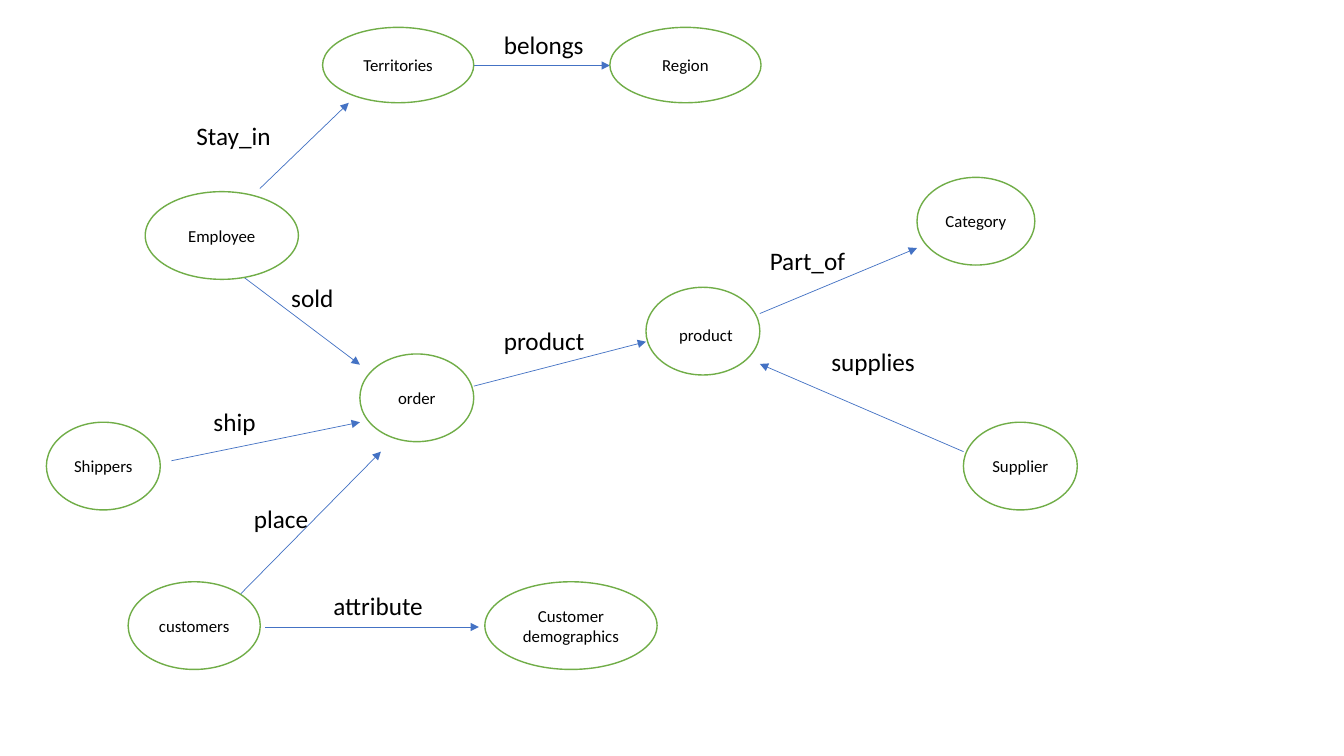
from lxml import etree
from pptx import Presentation
from pptx.dml.color import RGBColor
from pptx.enum.shapes import MSO_CONNECTOR, MSO_SHAPE
from pptx.enum.text import MSO_ANCHOR, MSO_AUTO_SIZE, PP_ALIGN
from pptx.oxml.ns import qn
from pptx.util import Cm, Pt

STRAIGHT = MSO_CONNECTOR.STRAIGHT
OVAL = MSO_SHAPE.OVAL
MIDDLE = MSO_ANCHOR.MIDDLE
GROW = MSO_AUTO_SIZE.SHAPE_TO_FIT_TEXT
LEFT, CENTER = PP_ALIGN.LEFT, PP_ALIGN.CENTER

COLORS = {"fill": "FFFFFF", "outline": "70AD47", "arrow": "4472C4", "text": "000000"}
NODE_HEIGHT = 2.21
TOP_NODE_HEIGHT = 1.9
LABEL_HEIGHT = 1.02

# text, left, top, width, height in centimetres
NODES = [
    ("Territories", 8.13, 0.69, 3.81, TOP_NODE_HEIGHT),
    ("Region", 15.37, 0.69, 3.81, TOP_NODE_HEIGHT),
    ("Employee", 3.66, 4.83, 3.86, NODE_HEIGHT),
    ("Category", 23.11, 4.47, 2.97, NODE_HEIGHT),
    ("order", 9.07, 8.92, 2.87, NODE_HEIGHT),
    ("Shippers", 1.17, 10.64, 2.87, NODE_HEIGHT),
    ("Supplier", 24.28, 10.64, 2.87, NODE_HEIGHT),
    ("customers", 3.23, 14.66, 3.33, NODE_HEIGHT),
    ("Customer\ndemographics", 12.22, 14.66, 4.34, NODE_HEIGHT),
]

# text, arrow start, arrow end, label left, top and width in centimetres
RELATIONS = [
    ("belongs", (11.94, 1.65), (15.37, 1.65), (12.45, 0.61, 3.38)),
    ("Stay_in", (6.55, 4.75), (8.79, 2.59), (4.7, 2.9, 2.39)),
    ("sold", (6.15, 6.99), (9.07, 9.19), (7.09, 6.99, 1.98)),
    ("product", (11.94, 9.73), (16.28, 8.61), (12.45, 8.08, 2.62)),
    ("Part_of", (19.15, 7.9), (23.11, 6.25), (19.15, 6.05, 2.62)),
    ("supplies", (24.28, 11.38), (19.15, 9.17), (20.7, 8.61, 2.62)),
    ("ship", (4.32, 11.61), (9.07, 10.64), (5.13, 10.11, 1.98)),
    ("place", (6.07, 14.96), (9.6, 11.38), (6.15, 12.57, 1.98)),
    ("attribute", (6.68, 15.8), (12.07, 15.8), (8.15, 14.76, 2.87)),
]


def color(name):
    return RGBColor.from_string(COLORS[name])


class GraphSlide:
    """Draws the nodes and relations of a graph in one style."""

    font = "Calibri"
    node_size = Pt(12)
    label_size = Pt(18)

    def __init__(self, slide):
        self.slide = slide

    def fill_text(self, text_frame, text, size, alignment):
        text_frame.word_wrap = True
        text_frame.text = text
        for paragraph in text_frame.paragraphs:
            paragraph.alignment = alignment
            for run in paragraph.runs:
                run.font.name = self.font
                run.font.size = size
                run.font.color.rgb = color("text")

    def add_node(self, text, left, top, width, height):
        shape = self.slide.shapes.add_shape(
            OVAL, Cm(left), Cm(top), Cm(width), Cm(height))
        shape.shadow.inherit = False
        shape.fill.solid()
        shape.fill.fore_color.rgb = color("fill")
        shape.line.color.rgb = color("outline")
        shape.line.width = Pt(1)
        shape.text_frame.vertical_anchor = MIDDLE
        self.fill_text(shape.text_frame, text, self.node_size, CENTER)
        return shape

    def add_arrow(self, start, end):
        connector = self.slide.shapes.add_connector(
            STRAIGHT, *(Cm(value) for value in start + end))
        connector.line.color.rgb = color("arrow")
        connector.line.width = Pt(0.5)
        properties = connector.element.spPr
        etree.SubElement(properties.find(qn("a:ln")), qn("a:tailEnd"), type="triangle")
        etree.SubElement(properties, qn("a:effectLst"))

    def add_label(self, text, left, top, width):
        box = self.slide.shapes.add_textbox(
            Cm(left), Cm(top), Cm(width), Cm(LABEL_HEIGHT))
        self.fill_text(box.text_frame, text, self.label_size, LEFT)
        box.text_frame.auto_size = GROW


def main():
    presentation = Presentation()
    presentation.slide_width = Cm(33.87)
    presentation.slide_height = Cm(19.05)
    blank_layout = presentation.slide_layouts[6]
    graph = GraphSlide(presentation.slides.add_slide(blank_layout))

    for text, start, end, label_place in RELATIONS:
        graph.add_arrow(start, end)
        graph.add_label(text, *label_place)
    for node in NODES:
        graph.add_node(*node)

    # The product caption sits slightly right of and below the centre.
    product = graph.add_node("product", 16.28, 7.24, 2.87, NODE_HEIGHT)
    product.text_frame.margin_left = Cm(0.4)
    product.text_frame.margin_top = Cm(0.3)

    presentation.save("out.pptx")


if __name__ == "__main__":
    main()
